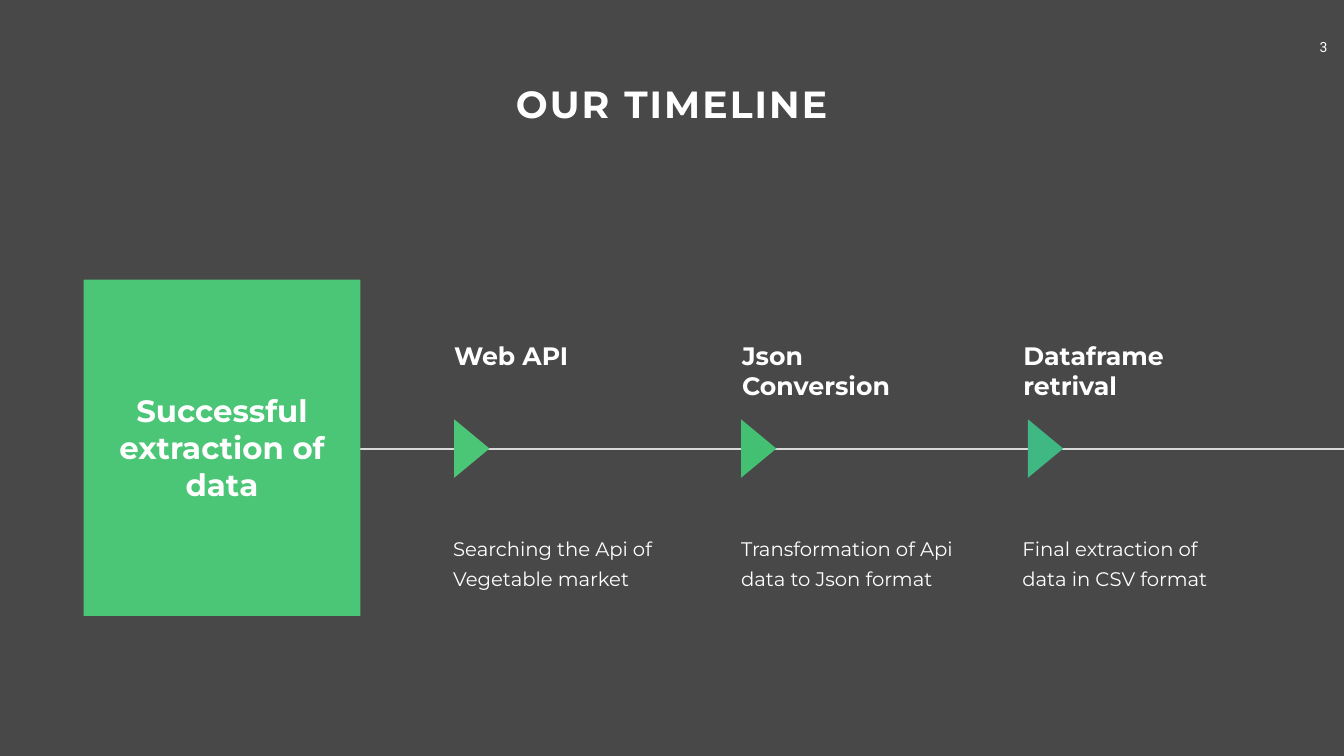
from pptx import Presentation
from pptx.dml.color import RGBColor
from pptx.enum.shapes import MSO_CONNECTOR, MSO_SHAPE
from pptx.enum.text import PP_ALIGN
from pptx.oxml.ns import qn
from pptx.util import Inches, Pt

WHITE = "FFFFFF"
BACKGROUND = "484848"
GREEN = "4BC676"
LINE_GREY = "D9D9D9"

TITLE = "OUR TIMELINE"
OUTCOME = "Successful extraction of data"
# heading, description, marker colour, heading left
STEPS = [
    ("Web API", "Searching the Api of Vegetable market", GREEN, 8.91),
    ("Json Conversion", "Transformation of Api data to Json format", "43C072", 14.62),
    ("Dataframe retrival", "Final extraction of data in CSV format", "40B884", 20.2),
]

AXIS_Y = 8.9
MARKER_LEFT, MARKER_STEP = 9.01, 5.69
MARKER_WIDTH, MARKER_HEIGHT = 0.7, 1.16


def color(hex_value):
    return RGBColor.from_string(hex_value)


def add_text(slide, text, box, size, bold=False, align=PP_ALIGN.LEFT,
             font="Montserrat", inset=(0.1, 0.05)):
    """Add a wrapping one-paragraph text box and return its paragraph."""
    frame = slide.shapes.add_textbox(*map(Inches, box)).text_frame
    frame.word_wrap = True
    frame.margin_left = frame.margin_right = Inches(inset[0])
    frame.margin_top = frame.margin_bottom = Inches(inset[1])
    paragraph = frame.paragraphs[0]
    paragraph.text = text
    paragraph.alignment = align
    paragraph.font.name = font
    paragraph.font.size = Pt(size)
    paragraph.font.bold = bold
    paragraph.font.color.rgb = color(WHITE)
    return paragraph


def add_filled_shape(slide, kind, box, fill):
    shape = slide.shapes.add_shape(kind, *map(Inches, box))
    shape.shadow.inherit = False
    shape.fill.solid()
    shape.fill.fore_color.rgb = color(fill)
    shape.line.fill.background()
    return shape


def add_axis(slide):
    axis = slide.shapes.add_connector(
        MSO_CONNECTOR.STRAIGHT, Inches(4.96), Inches(AXIS_Y), Inches(26.66), Inches(AXIS_Y))
    axis.line.color.rgb = color(LINE_GREY)
    axis.line.width = Pt(3)
    properties = axis.element.spPr
    properties.append(properties.makeelement(qn("a:effectLst"), {}))


def add_step(slide, index, heading, description, fill, left):
    body = add_text(slide, description, (left - 0.16, 10.41, 4.85, 1.39), 28,
                    inset=(0.24, 0.12))
    body.line_spacing = Pt(43)
    body.space_before = Pt(5.6)
    add_text(slide, heading, (left, 6.7, 3.92, 1.31), 36, bold=True)

    # The triangle is placed unrotated about its centre, then turned to point right.
    center_x = MARKER_LEFT + index * MARKER_STEP + MARKER_WIDTH / 2
    marker = add_filled_shape(
        slide, MSO_SHAPE.ISOSCELES_TRIANGLE,
        (center_x - MARKER_HEIGHT / 2, AXIS_Y - MARKER_WIDTH / 2, MARKER_HEIGHT, MARKER_WIDTH),
        fill)
    marker.rotation = 90


def main():
    presentation = Presentation()
    presentation.slide_width = Inches(26.66)
    presentation.slide_height = Inches(15)
    slide = presentation.slides.add_slide(presentation.slide_layouts[6])
    slide.background.fill.solid()
    slide.background.fill.fore_color.rgb = color(BACKGROUND)

    add_text(slide, "3", (25.8, 0.67, 0.91, 0.54), 20, align=PP_ALIGN.CENTER,
             font="Roboto", inset=(0.2, 0.1))
    title = add_text(slide, TITLE, (9.61, 1.55, 7.43, 1.01), 54, bold=True,
                     align=PP_ALIGN.CENTER)
    title.runs[0].font._element.set("spc", "300")

    add_axis(slide)
    add_filled_shape(slide, MSO_SHAPE.RECTANGLE, (1.66, 5.55, 5.49, 6.67), GREEN)
    add_text(slide, OUTCOME, (2.2, 7.72, 4.41, 2.32), 44, bold=True, align=PP_ALIGN.CENTER)
    for index, step in enumerate(STEPS):
        add_step(slide, index, *step)

    presentation.save("out.pptx")


if __name__ == "__main__":
    main()
